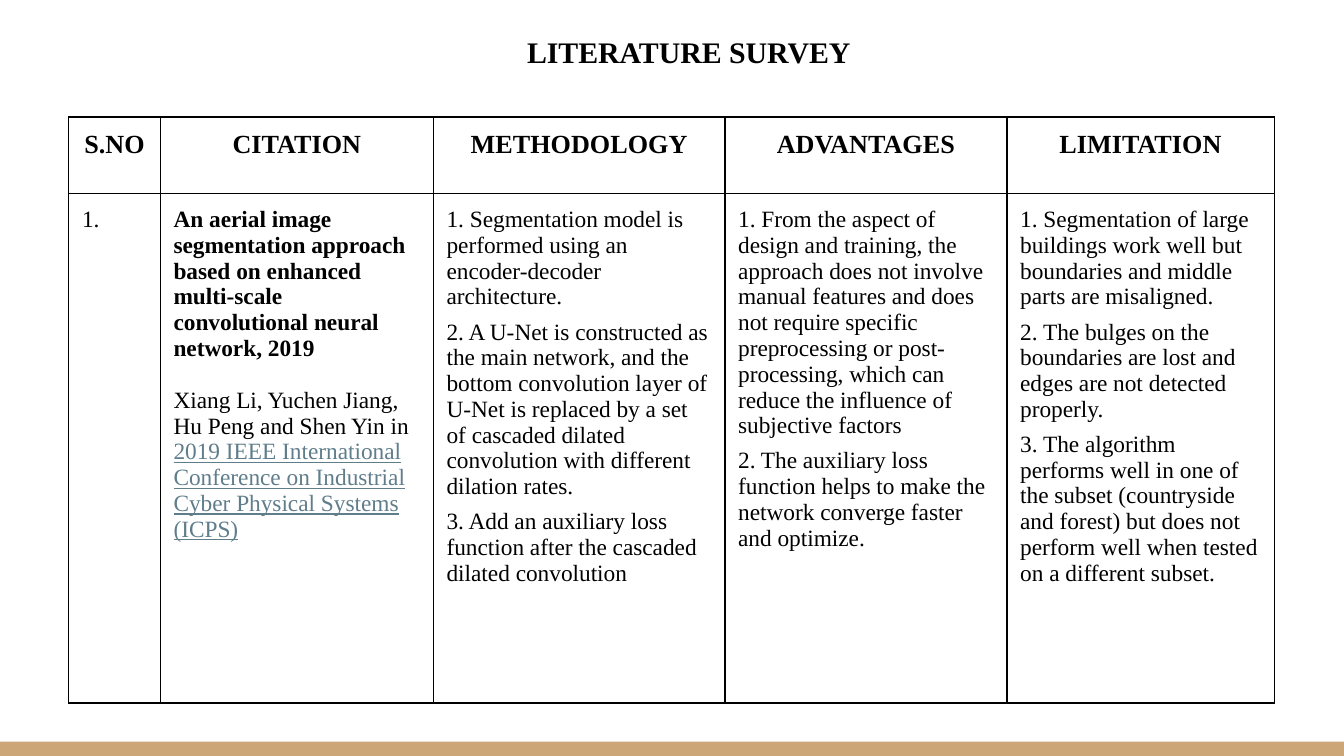
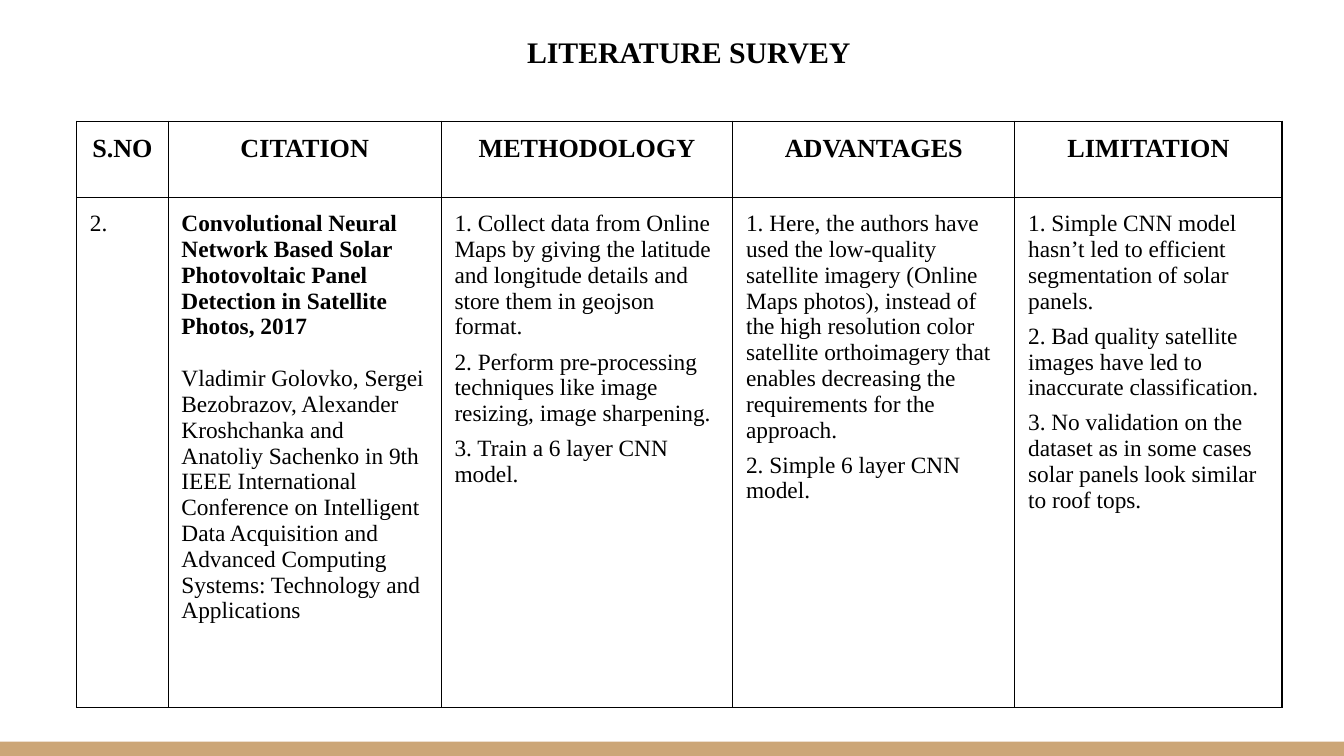
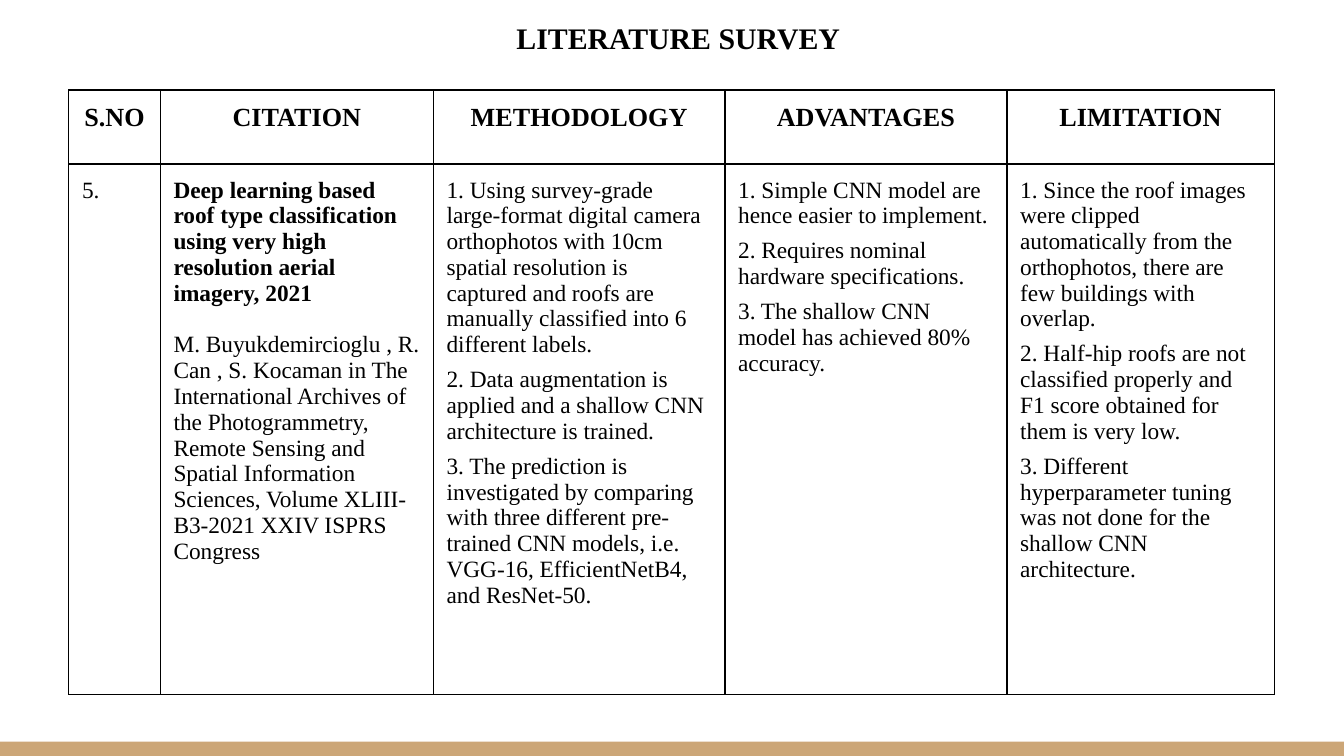
from dataclasses import dataclass

from lxml.etree import SubElement
from pptx import Presentation
from pptx.dml.color import RGBColor
from pptx.enum.shapes import MSO_SHAPE
from pptx.enum.text import MSO_AUTO_SIZE, PP_ALIGN
from pptx.oxml.ns import qn
from pptx.util import Cm, Pt

# Shared look
FONT_NAME = "Times New Roman"
BLACK, WHITE, TAN, LINK = "000000", "FFFFFF", "CCA677", "607D8B"
INSET = Cm(0.25)
MARGINS = {"margin_left": INSET, "margin_right": INSET,
           "margin_top": INSET, "margin_bottom": INSET}
TITLE = {"size": Pt(16), "bold": True}
HEADER = {"size": Pt(14), "bold": True}
BODY = {"size": Pt(12.5), "bold": False}
STRONG = BODY | {"bold": True}
UNDERLINED = BODY | {"underline": True}

PAGE_WIDTH, PAGE_HEIGHT, BAND_HEIGHT = Cm(25.4), Cm(14.29), Cm(0.27)
HEADINGS = ["S.NO", "CITATION", "METHODOLOGY", "ADVANTAGES", "LIMITATION"]
COLUMN_WIDTHS = [Cm(width) for width in (1.73, 5.16, 5.51, 5.33, 5.05)]
POINT_GAP, AUTHOR_GAP = Pt(5), Pt(14)


@dataclass
class Survey:
    """One reviewed paper with the placing of its table, in centimetres."""
    number: str
    paper: str
    authors: str
    methodology: list[str]
    advantages: list[str]
    limitation: list[str]
    table_at: tuple[float, float]
    row_heights: tuple[float, float] = (1.45, 9.63)
    title_at: tuple[float, float] = (4.98, 0.38)
    venue: str = ""


SURVEYS = [
    Survey(
        number="1.",
        paper="An aerial image segmentation approach based on enhanced "
              "multi-scale convolutional neural network, 2019",
        authors="Xiang Li, Yuchen Jiang, Hu Peng and Shen Yin in ",
        venue="2019 IEEE International Conference on Industrial Cyber "
              "Physical Systems (ICPS)",
        methodology=[
            "1. Segmentation model is performed using an encoder-decoder "
            "architecture.",
            "2. A U-Net is constructed as the main network, and the bottom "
            "convolution layer of U-Net is replaced by a set of cascaded "
            "dilated convolution with different dilation rates.",
            "3. Add an auxiliary loss function after the cascaded dilated "
            "convolution",
        ],
        advantages=[
            "1. From the aspect of design and training, the approach does not "
            "involve manual features and does not require specific "
            "preprocessing or post-processing, which can reduce the influence "
            "of subjective factors",
            "2. The auxiliary loss function helps to make the network "
            "converge faster and optimize.",
        ],
        limitation=[
            "1. Segmentation of large buildings work well but boundaries and "
            "middle parts are misaligned.",
            "2. The bulges on the boundaries are lost and edges are not "
            "detected properly.",
            "3. The algorithm performs well in one of the subset (countryside "
            "and forest) but does not perform well when tested on a different "
            "subset.",
        ],
        table_at=(1.3, 2.21),
    ),
    Survey(
        number="2.",
        paper="Convolutional Neural Network Based Solar Photovoltaic Panel "
              "Detection in Satellite Photos, 2017",
        authors="Vladimir Golovko, Sergei Bezobrazov, Alexander Kroshchanka "
                "and Anatoliy Sachenko in 9th IEEE International Conference "
                "on Intelligent Data Acquisition and Advanced Computing "
                "Systems: Technology and Applications",
        methodology=[
            "1. Collect data from Online Maps by giving the latitude and "
            "longitude details and store them in geojson format.",
            "2. Perform pre-processing techniques like image resizing, image "
            "sharpening.",
            "3. Train a 6 layer CNN model.",
        ],
        advantages=[
            "1. Here, the authors have used the low-quality satellite imagery "
            "(Online Maps photos), instead of the high resolution color "
            "satellite orthoimagery that enables decreasing the requirements "
            "for the approach.",
            "2. Simple 6 layer CNN model.",
        ],
        limitation=[
            "1. Simple CNN model hasn’t led to efficient segmentation of "
            "solar panels.",
            "2. Bad quality satellite images have led to inaccurate "
            "classification.",
            "3. No validation on the dataset as in some cases solar panels "
            "look similar to roof tops.",
        ],
        table_at=(1.45, 2.29),
    ),
    Survey(
        number="5.",
        paper="Deep learning based roof type classification using very high "
              "resolution aerial imagery, 2021",
        authors="M. Buyukdemircioglu , R. Can , S. Kocaman in The "
                "International Archives of the Photogrammetry, Remote Sensing "
                "and Spatial Information Sciences, Volume XLIII-B3-2021 XXIV "
                "ISPRS Congress",
        methodology=[
            "1. Using survey-grade large-format digital camera orthophotos "
            "with 10cm spatial resolution is captured and roofs are manually "
            "classified into 6 different labels.",
            "2. Data augmentation is applied and a shallow CNN architecture "
            "is trained.",
            "3. The prediction is investigated by comparing with three "
            "different pre-trained CNN models, i.e. VGG-16, EfficientNetB4, "
            "and ResNet-50.",
        ],
        advantages=[
            "1. Simple CNN model are hence easier to implement.",
            "2. Requires nominal hardware specifications.",
            "3. The shallow CNN model has achieved 80% accuracy.",
        ],
        limitation=[
            "1. Since the roof images were clipped automatically from the "
            "orthophotos, there are few buildings with overlap.",
            "2. Half-hip roofs are not classified properly and F1 score "
            "obtained for them is very low.",
            "3. Different hyperparameter tuning was not done for the shallow "
            "CNN architecture.",
        ],
        table_at=(1.3, 1.7),
        row_heights=(1.4, 10.03),
        title_at=(4.78, 0.13),
    ),
]


def color(value: str) -> RGBColor:
    return RGBColor.from_string(value)


def apply(target, values: dict) -> None:
    for name, value in values.items():
        setattr(target, name, value)


def add_span(para, text: str, style: dict, ink: str = BLACK) -> None:
    span = para.add_run()
    span.text = text
    apply(span.font, {"name": FONT_NAME} | style)
    span.font.color.rgb = color(ink)


def write_centred(frame, text: str, style: dict) -> None:
    para = frame.paragraphs[0]
    para.alignment = PP_ALIGN.CENTER
    add_span(para, text, style)


def write_points(frame, points: list[str]) -> None:
    for index, point in enumerate(points):
        para = frame.add_paragraph() if index else frame.paragraphs[0]
        if index:
            para.space_before = POINT_GAP
        add_span(para, point, BODY)


def write_citation(frame, survey: Survey) -> None:
    add_span(frame.paragraphs[0], survey.paper, STRONG)
    para = frame.add_paragraph()
    para.space_before = AUTHOR_GAP
    add_span(para, survey.authors, BODY)
    if survey.venue:
        add_span(para, survey.venue, UNDERLINED, LINK)


def format_cell(cell) -> None:
    apply(cell, MARGINS)
    properties = cell._tc.get_or_add_tcPr()
    for side in ("a:lnL", "a:lnR", "a:lnT", "a:lnB"):
        border = SubElement(properties, qn(side), w=str(Pt(0.75)))
        fill = SubElement(border, qn("a:solidFill"))
        SubElement(fill, qn("a:srgbClr"), val=BLACK)
    cell.fill.background()


def add_band(page) -> None:
    band = page.shapes.add_shape(MSO_SHAPE.RECTANGLE, 0,
                                 PAGE_HEIGHT - BAND_HEIGHT,
                                 PAGE_WIDTH, BAND_HEIGHT)
    band.shadow.inherit = False
    band.fill.solid()
    band.fill.fore_color.rgb = color(TAN)
    band.line.fill.background()


def add_title(page, survey: Survey) -> None:
    left, top = map(Cm, survey.title_at)
    box = page.shapes.add_textbox(left, top, Cm(16.08), Cm(1.19))
    apply(box.text_frame, MARGINS | {
        "word_wrap": True, "auto_size": MSO_AUTO_SIZE.SHAPE_TO_FIT_TEXT})
    write_centred(box.text_frame, "LITERATURE SURVEY", TITLE)


def add_survey_table(page, survey: Survey) -> None:
    left, top = map(Cm, survey.table_at)
    heights = [Cm(height) for height in survey.row_heights]
    table = page.shapes.add_table(len(heights), len(HEADINGS), left, top,
                                  sum(COLUMN_WIDTHS), sum(heights)).table
    apply(table, {"first_row": False, "horz_banding": False})
    for column, width in zip(table.columns, COLUMN_WIDTHS):
        column.width = width
    for row, height in zip(table.rows, heights):
        row.height = height
    for cell in table.iter_cells():
        format_cell(cell)

    # Heading row
    for index, heading in enumerate(HEADINGS):
        write_centred(table.cell(0, index).text_frame, heading, HEADER)

    # Paper row
    write_citation(table.cell(1, 1).text_frame, survey)
    columns = {0: [survey.number], 2: survey.methodology,
               3: survey.advantages, 4: survey.limitation}
    for index, points in columns.items():
        write_points(table.cell(1, index).text_frame, points)


def main() -> None:
    deck = Presentation()
    apply(deck, {"slide_width": PAGE_WIDTH, "slide_height": PAGE_HEIGHT})
    for survey in SURVEYS:
        page = deck.slides.add_slide(deck.slide_layouts[6])
        page.background.fill.solid()
        page.background.fill.fore_color.rgb = color(WHITE)
        add_band(page)
        add_title(page, survey)
        add_survey_table(page, survey)
    deck.save("out.pptx")


if __name__ == "__main__":
    main()
